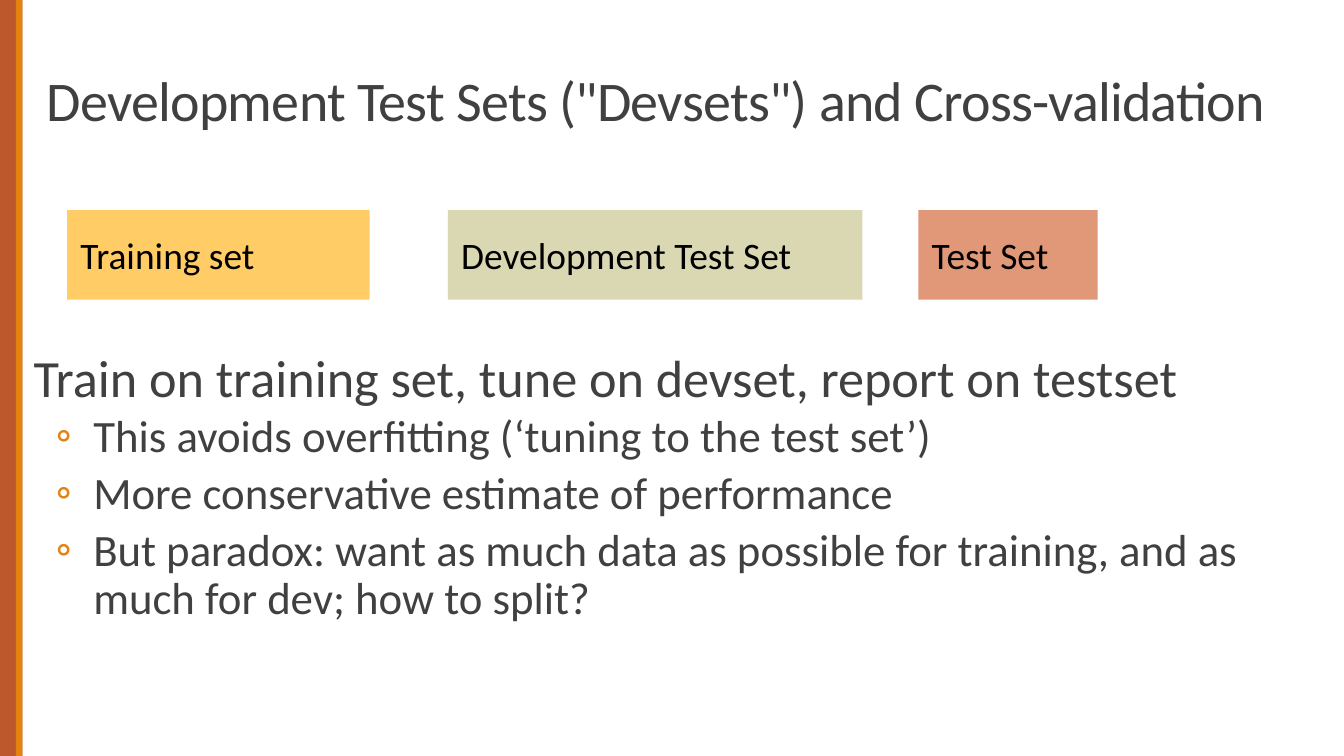
from pptx import Presentation
from pptx.dml.color import RGBColor
from pptx.enum.shapes import MSO_SHAPE as Shape
from pptx.enum.text import MSO_ANCHOR as Anchor, PP_ALIGN as Align
from pptx.oxml.ns import qn
from pptx.util import Pt
from lxml.etree import SubElement as Sub


def rgb(code):
    return RGBColor.from_string(code)


class Deck:
    face = "Calibri"
    ink = "404040"
    rust = "BD582C"
    amber = "E48312"

    def __init__(self, wide, high):
        self.prs = Presentation()
        self.prs.slide_width, self.prs.slide_height = Pt(wide), Pt(high)
        self.slide = self.prs.slides.add_slide(self.prs.slide_layouts[6])

    def font(self, para, size, color):
        para.font.name = self.face
        para.font.size = Pt(size)
        para.font.color.rgb = rgb(color)

    def rect(self, x, y, w, h, fill):
        box = self.slide.shapes.add_shape(
            Shape.RECTANGLE, Pt(x), Pt(y), Pt(w), Pt(h))
        box.shadow.inherit = False
        box.fill.solid()
        box.fill.fore_color.rgb = rgb(fill)
        box.line.fill.background()
        return box

    def label(self, x, y, w, h, fill, text):
        frame = self.rect(x, y, w, h, fill).text_frame
        frame.word_wrap = False
        frame.vertical_anchor = Anchor.MIDDLE
        para = frame.paragraphs[0]
        para.text = text
        para.alignment = Align.LEFT
        self.font(para, 20, "000000")

    def frame(self, x, y, w, h):
        frame = self.slide.shapes.add_textbox(
            Pt(x), Pt(y), Pt(w), Pt(h)).text_frame
        frame.word_wrap = True
        return frame

    def title(self, x, y, w, h, text):
        frame = self.frame(x, y, w, h)
        frame.vertical_anchor = Anchor.BOTTOM
        para = frame.paragraphs[0]
        para.line_spacing = 0.85
        run = para.add_run()
        run.text = text
        run.font._element.set("spc", "-40")
        self.font(para, 30, self.ink)

    def bullet(self, para):
        props = para._p.get_or_add_pPr()
        props.set("marL", str(Pt(32)))
        props.set("indent", str(-Pt(20)))
        props.set("lvl", "1")
        Sub(Sub(props, qn("a:buClr")), qn("a:srgbClr"), val=self.amber)
        Sub(props, qn("a:buFont"), typeface=self.face)
        Sub(props, qn("a:buChar"), char="◦")

    def body(self, x, y, w, h, head, points):
        frame = self.frame(x, y, w, h)
        frame.margin_left = frame.margin_right = 0
        para = frame.paragraphs[0]
        para.text = head
        para.line_spacing, para.space_after = 0.9, Pt(1.5)
        self.font(para, 28, self.ink)
        for point in points:
            para = frame.add_paragraph()
            para.text = point
            para.line_spacing = 0.9
            para.space_before, para.space_after = Pt(1.5), Pt(3)
            self.bullet(para)
            self.font(para, 24, self.ink)


def main():
    wide, high = 720, 405
    deck = Deck(wide, high)

    # Side stripes
    deck.rect(0, 0, 12, high, deck.rust)
    deck.rect(8.5, 0, 3.5, high, deck.amber)

    # Title
    deck.title(18, 16.5, 702, 58.5,
               'Development Test Sets ("Devsets") and Cross-validation')

    # Main text
    deck.body(18, 185, 684, 220,
              "Train on training set, tune on devset, report on testset",
              ["This avoids overfitting (‘tuning to the test set’)",
               "More conservative estimate of performance",
               "But paradox: want as much data as possible for training, "
               "and as much for dev; how to split?"])

    # Data sets
    for x, w, fill, text in [(36, 162, "FFCC66", "Training set"),
                             (240, 222, "DAD7B3", "Development Test Set"),
                             (492, 96, "E09878", "Test Set")]:
        deck.label(x, 112.5, w, 48, fill, text)

    deck.prs.save("out.pptx")


if __name__ == "__main__":
    main()
